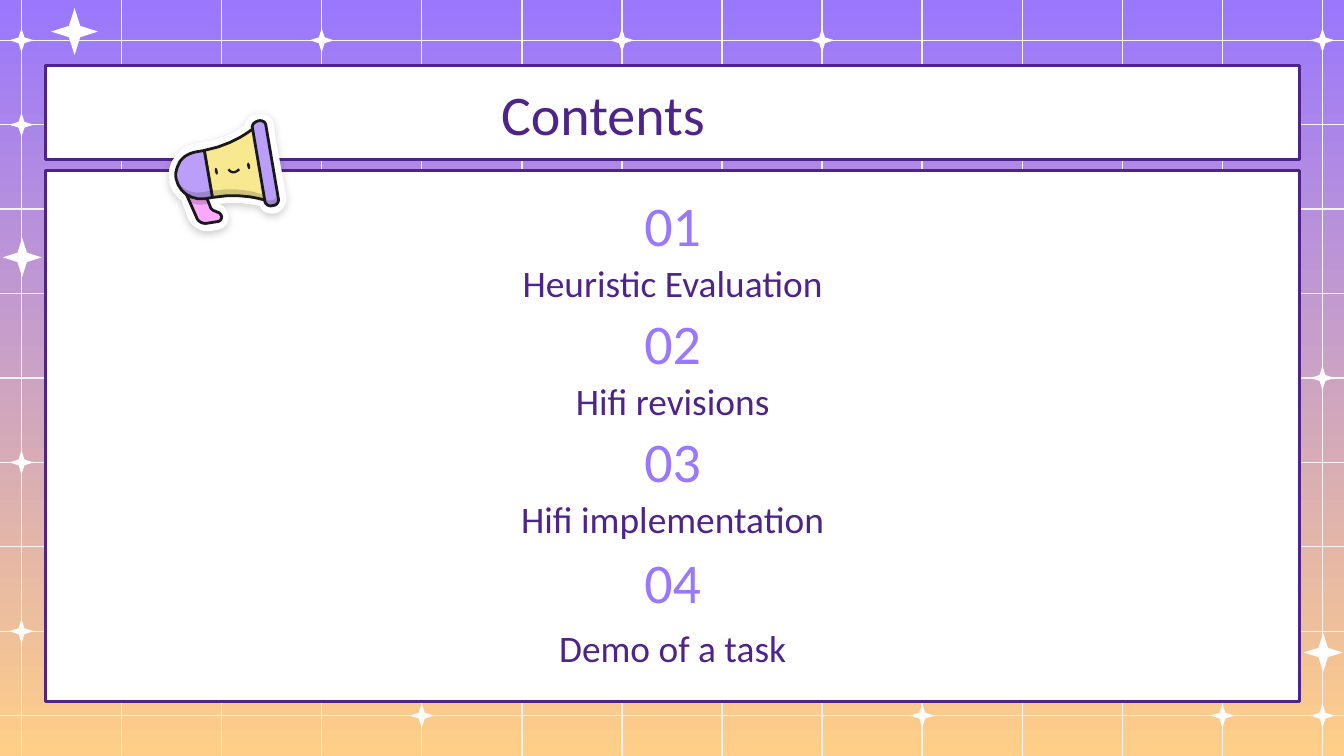
import pptx
import pptx.util
import pptx.dml.color
import pptx.enum.shapes
import pptx.enum.text
import pptx.oxml.ns
import lxml.etree

RGBColor = pptx.dml.color.RGBColor
MSO_SHAPE = pptx.enum.shapes.MSO_SHAPE
PP_ALIGN = pptx.enum.text.PP_ALIGN
MSO_ANCHOR = pptx.enum.text.MSO_ANCHOR
Pt = pptx.util.Pt
qn = pptx.oxml.ns.qn

PX = 9144  # 100 px to the inch
W = 1000
H = W * 9 / 16
FONT = "Calibri"
VIOLET = RGBColor(0x9A, 0x77, 0xFD)
APRICOT = RGBColor(0xFF, 0xCE, 0x88)
GRID = RGBColor(0xF3, 0xF3, 0xF3)
WHITE = RGBColor(0xFF, 0xFF, 0xFF)
PURPLE = RGBColor(0x4E, 0x24, 0x8B)
INK = RGBColor(0x19, 0x19, 0x19)
PINK = RGBColor(0xFF, 0xA8, 0xFF)
YELLOW = RGBColor(0xF8, 0xE9, 0x91)
LILAC = RGBColor(0xBB, 0x9E, 0xF9)

COLS, ROWS = 14, 9
GRID_STARS = [(0, 0), (3, 0), (6, 0), (8, 0), (13, 0), (0, 1), (13, 4), (0, 5),
              (0, 7), (4, 8), (9, 8), (12, 8), (13, 8)]
BIG_STARS = [(38, 6, 35), (2, 177, 29), (970, 471, 29)]

# number, label, label width, number height, label offset, label height
SECTIONS = [("01", "Heuristic Evaluation", 421, 43, 40, 50),
            ("02", "Hifi revisions", 279, 43, 40, 50),
            ("03", "Hifi implementation", 400, 43, 40, 50),
            ("04", "Demo of a task", 331, 47, 45, 56)]
SECTION_PITCH = 88

# Outlines: pairs are corners, sixes are Bézier curves
STICKER = [(66, 2), (63, 2, 61, 3, 59, 6), (58, 7, 57, 9, 57, 10), (56, 11, 53, 13, 50, 15),
           (40, 20, 31, 22, 25, 23), (20, 24), (13, 25, 8, 29, 5, 34), (1, 39, 0, 45, 1, 51),
           (1, 54, 2, 57, 4, 60), (6, 62, 7, 64, 10, 66), (15, 80), (17, 83, 19, 86, 22, 87),
           (25, 89, 28, 89, 31, 89), (37, 88), (43, 87, 46, 82, 45, 77),
           (44, 73, 42, 70, 38, 69), (42, 68, 50, 67, 60, 69), (63, 69, 66, 70, 68, 70),
           (69, 72, 70, 73, 71, 74), (74, 76, 76, 76, 79, 76), (85, 75, 89, 69, 88, 63),
           (81, 25), (80, 20), (79, 10), (78, 4, 72, 0, 66, 2)]
LEG = [(13, 60), (21, 78), (22, 82, 26, 84, 30, 83), (36, 82), (39, 82, 40, 80, 40, 78),
       (39, 76, 38, 75, 37, 75), (35, 74), (34, 74, 33, 73, 32, 72), (26, 57)]
LEG_SHADE = [(13, 60), (17, 68), (20, 69, 24, 70, 28, 69), (31, 68), (26, 57)]
CONE = [(63, 13), (63, 13, 49, 25, 27, 29), (33, 64), (55, 60, 72, 66, 72, 66), (73, 39)]
CONE_SHADE = [(32, 59), (33, 64), (55, 60, 72, 66, 72, 66), (71, 62), (71, 62, 55, 55, 32, 59)]
RIM = [(67, 7), (64, 8, 62, 10, 63, 13), (72, 66), (72, 69, 75, 71, 78, 70),
       (81, 70, 83, 67, 82, 64), (73, 11), (73, 8, 70, 6, 67, 7)]
RIM_SHADE = [(71, 62), (72, 66), (72, 69, 75, 71, 78, 70), (81, 70, 83, 67, 82, 64), (82, 60),
             (82, 63, 80, 66, 77, 66), (74, 67, 72, 65, 71, 62)]
DOME = [(21, 30), (16, 31, 12, 33, 9, 37), (7, 41, 5, 45, 6, 50), (8, 60, 17, 66, 27, 65),
        (33, 64), (27, 29)]
DOME_SHADE = [(6, 48), (8, 60, 17, 66, 27, 65), (33, 64), (32, 59), (26, 60),
              (17, 62, 8, 57, 6, 48)]
SMILE = [(45, 43), (47, 46, 50, 46, 53, 43)]
PARTS = [(LEG, LEG_SHADE, PINK), (CONE, CONE_SHADE, YELLOW),
         (RIM, RIM_SHADE, LILAC), (DOME, DOME_SHADE, LILAC)]


def px(*lengths):
    return [round(v * PX) for v in lengths]


def paint(sp, fill, line=None, width=1.5):
    sp.shadow.inherit = False
    if fill is None:
        sp.fill.background()
    else:
        sp.fill.solid()
        sp.fill.fore_color.rgb = fill
    if line is None:
        sp.line.fill.background()
    else:
        sp.line.color.rgb = line
        sp.line.width = Pt(width)


def add_shape(s, kind, x, y, w, h, fill, line=None):
    sp = s.shapes.add_shape(kind, *px(x, y, w, h))
    paint(sp, fill, line)
    return sp


def add_star(s, x, y, size):
    add_shape(s, MSO_SHAPE.STAR_4_POINT, x, y, size, size, WHITE).adjustments[0] = 0.17


def add_grid_line(s, *ends):
    ln = s.shapes.add_connector(pptx.enum.shapes.MSO_CONNECTOR.STRAIGHT, *px(*ends))
    ln.line.color.rgb = GRID
    ln.line.width = Pt(0.75)
    lxml.etree.SubElement(ln._element.spPr, qn("a:effectLst"))


def write(sp, text, size, color, align, anchor):
    tf = sp.text_frame
    tf.word_wrap = True
    tf.vertical_anchor = anchor
    tf.margin_left = tf.margin_right = tf.margin_top = tf.margin_bottom = 10 * PX
    p = tf.paragraphs[0]
    p.text = text
    p.alignment = align
    p.font.name, p.font.size, p.font.color.rgb = FONT, Pt(size), color
    return p


def add_outline(s, x, y, outline, fill, line=None, width=1.5):
    """Draw an outline from (x, y), closed when it has a fill."""
    points = [outline[0]]
    for seg in outline[1:]:
        if len(seg) == 2:
            points.append(seg)
            continue
        ends = [points[-1], seg[:2], seg[2:4], seg[4:]]
        for t in (i / 6 for i in range(1, 7)):
            weights = ((1 - t) ** 3, 3 * t * (1 - t) ** 2, 3 * t * t * (1 - t), t ** 3)
            points.append(tuple(sum(k * e[axis] for k, e in zip(weights, ends))
                                for axis in (0, 1)))
    points = [px(x + a, y + b) for a, b in points]
    fb = s.shapes.build_freeform(*points[0], scale=1.0)
    fb.add_line_segments(points[1:], close=fill is not None)
    sp = fb.convert_to_shape()
    paint(sp, fill, line, width)
    return sp


def add_backdrop(s, x, y, w, h):
    """Gradient background with a grid and stars."""
    fill = s.background.fill
    fill.gradient()
    fill.gradient_angle = 270
    for stop, color, position in zip(fill.gradient_stops, (VIOLET, APRICOT), (0, 1)):
        stop.color.rgb = color
        stop.position = position
    xs = [x + 16 + i * (w - 32) / (COLS - 1) for i in range(COLS)]
    ys = [y + 30 + i * (h - 60) / (ROWS - 1) for i in range(ROWS)]
    for gx in xs:
        add_grid_line(s, gx, y - 26, gx, y + h + 26)
    for gy in ys:
        add_grid_line(s, x - 46, gy, x + w + 46, gy)
    for col, row in GRID_STARS:
        add_star(s, xs[col] - 9, ys[row] - 9, 18)
    for sx, sy, size in BIG_STARS:
        add_star(s, x + sx, y + sy, size)


def add_title(s, x, y, w, h):
    sp = add_shape(s, MSO_SHAPE.RECTANGLE, x, y, w, h, WHITE, PURPLE)
    p = write(sp, "Contents", 30, PURPLE, PP_ALIGN.LEFT, MSO_ANCHOR.TOP)
    p._p.get_or_add_pPr().set("marL", str(329 * PX))


def add_contents(s, x, y, w, h):
    """Panel with the numbered sections centred in it."""
    add_shape(s, MSO_SHAPE.ROUNDED_RECTANGLE, x, y, w, h, WHITE, PURPLE).adjustments[0] = 0
    for i, (number, label, label_w, number_h, offset, label_h) in enumerate(SECTIONS):
        top = y + 18 + i * SECTION_PITCH
        for text, size, color, tw, ty, th in ((number, 30, VIOLET, 123, top, number_h),
                                              (label, 20, PURPLE, label_w, top + offset, label_h)):
            sp = s.shapes.add_textbox(*px(x + (w - tw) / 2, ty, tw, th))
            write(sp, text, size, color, PP_ALIGN.CENTER, MSO_ANCHOR.MIDDLE)


def add_megaphone(s, x, y):
    sticker = add_outline(s, x, y, STICKER, WHITE)
    effects = sticker._element.spPr.find(qn("a:effectLst"))
    shadow = lxml.etree.SubElement(effects, qn("a:outerShdw"), blurRad=str(Pt(4.5)),
                                   dist=str(Pt(1.5)), dir="5400000", rotWithShape="0")
    color = lxml.etree.SubElement(shadow, qn("a:srgbClr"), val="000000")
    lxml.etree.SubElement(color, qn("a:alpha"), val="19000")
    for outline, shade, fill in PARTS:
        add_outline(s, x, y, outline, fill, INK)
        sp = add_outline(s, x, y, shade, INK)
        color = sp._element.spPr.find(qn("a:solidFill")).find(qn("a:srgbClr"))
        lxml.etree.SubElement(color, qn("a:alpha"), val="19000")
    for ex, ey in ((35, 42), (59, 38)):
        add_shape(s, MSO_SHAPE.OVAL, x + ex, y + ey, 2, 5, INK).rotation = -10
    add_outline(s, x, y, SMILE, None, INK, 1.25)


def main():
    prs = pptx.Presentation()
    prs.slide_width, prs.slide_height = px(W, H)
    s = prs.slides.add_slide(prs.slide_layouts[6])
    add_backdrop(s, 0, 0, W, H)
    add_contents(s, 34, 127, 933, 395)
    add_title(s, 34, 49, 933, 70)
    add_megaphone(s, 125, 83)
    prs.save("out.pptx")


if __name__ == "__main__":
    main()
